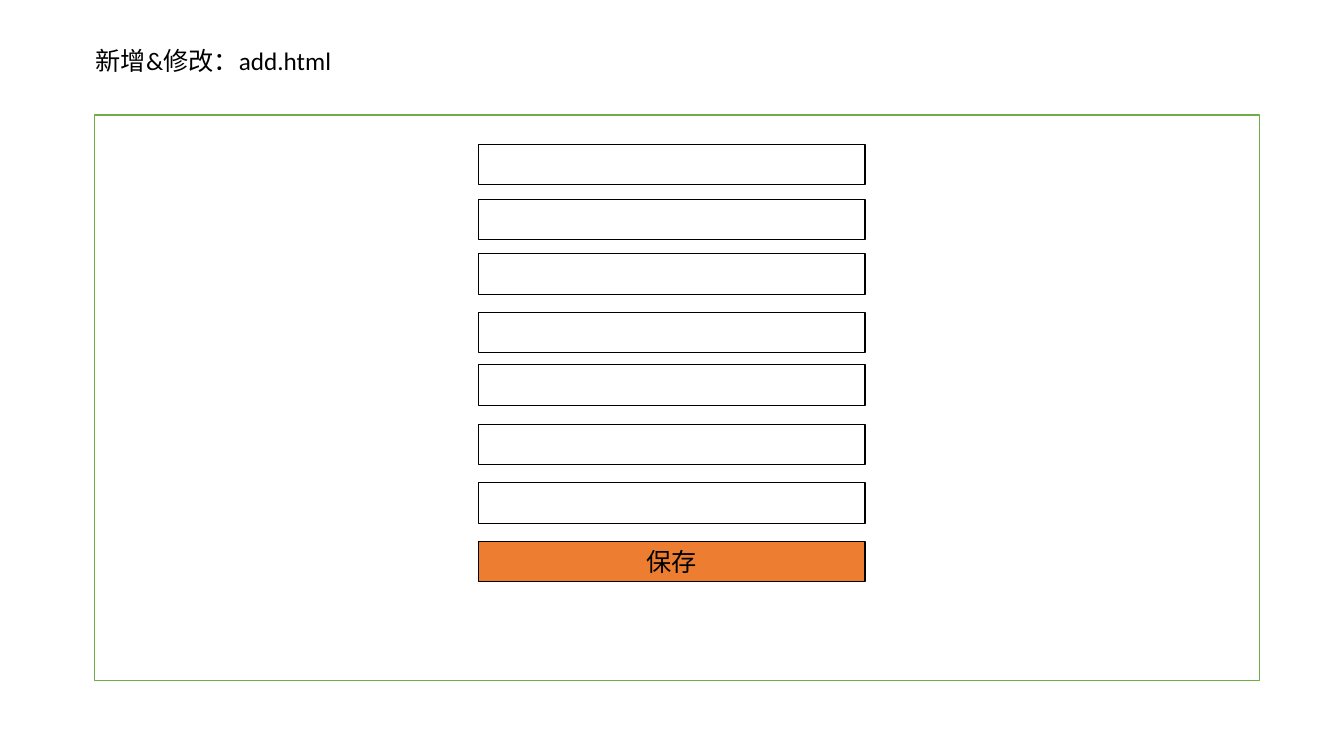
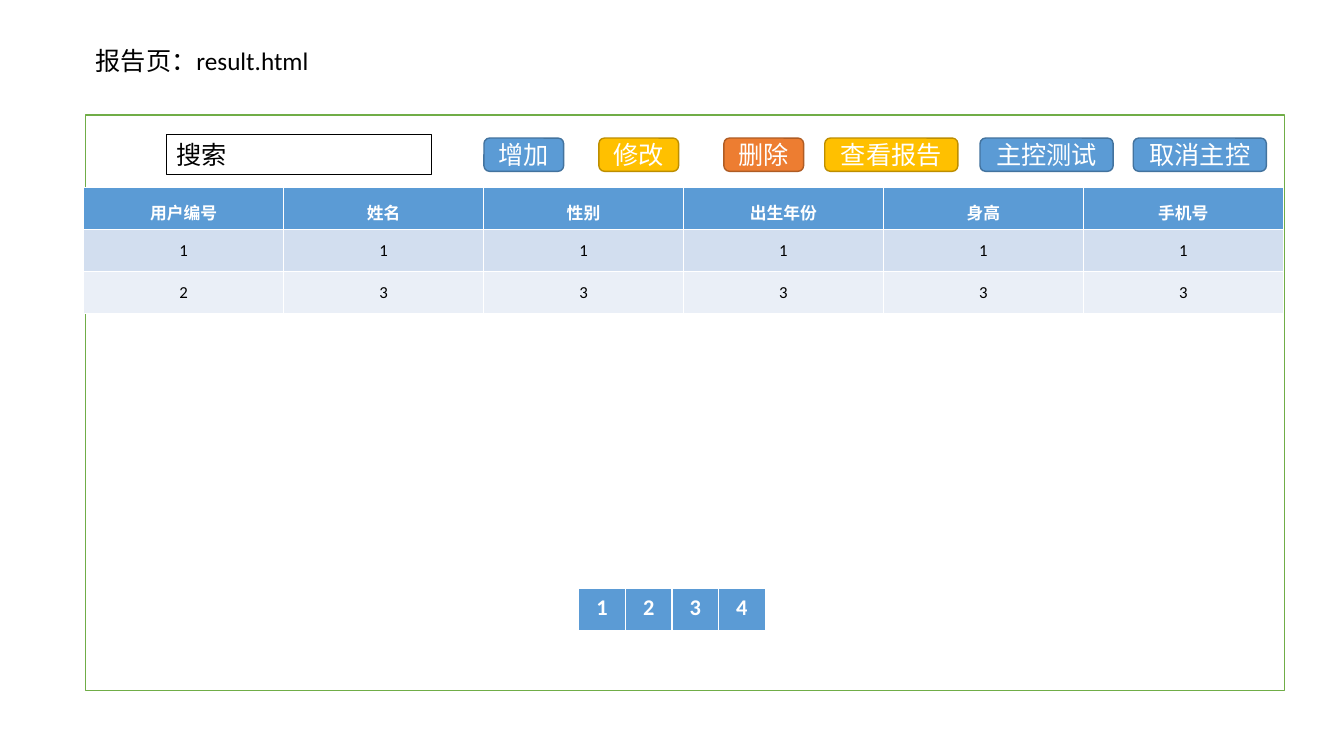
"""Build two wireframe slides: an edit form and a report list."""
from pptx import Presentation
from pptx.dml.color import RGBColor
from pptx.enum.shapes import MSO_SHAPE
from pptx.enum.text import PP_ALIGN
from pptx.util import Inches, Pt

RECT, ROUNDED = MSO_SHAPE.RECTANGLE, MSO_SHAPE.ROUNDED_RECTANGLE
LEFT, CENTER = PP_ALIGN.LEFT, PP_ALIGN.CENTER
FONT = "Calibri"
BLACK = RGBColor(0x00, 0x00, 0x00)
WHITE = RGBColor(0xFF, 0xFF, 0xFF)
GREEN = RGBColor(0x70, 0xAD, 0x47)
BLUE = RGBColor(0x5B, 0x9B, 0xD5)
BLUE_EDGE = RGBColor(0x43, 0x73, 0x9E)
GOLD = RGBColor(0xFF, 0xC0, 0x00)
GOLD_EDGE = RGBColor(0xBD, 0x8E, 0x00)
ORANGE = RGBColor(0xED, 0x7D, 0x31)
ORANGE_EDGE = RGBColor(0xAF, 0x5C, 0x24)
BAND_DARK = RGBColor(0xD2, 0xDE, 0xEF)
BAND_LIGHT = RGBColor(0xEA, 0xEF, 0xF7)


def write(frame, text, size=18, color=BLACK, align=LEFT, bold=False):
    paragraph = frame.paragraphs[0]
    paragraph.text = text
    paragraph.alignment = align
    font = paragraph.font
    font.name, font.size, font.bold = FONT, Pt(size), bold
    font.color.rgb = color
    return paragraph


def add_box(page, kind, area, fill, edge, weight):
    box = page.shapes.add_shape(kind, *map(Inches, area))
    box.shadow.inherit = False
    if fill is None:
        box.fill.background()
    else:
        box.fill.solid()
        box.fill.fore_color.rgb = fill
    box.line.color.rgb = edge
    box.line.width = Pt(weight)
    return box


deck = Presentation()
deck.slide_width, deck.slide_height = Inches(13.33), Inches(7.5)

pages = []
for title, title_width, panel in (
    ("新增&修改：add.html", 2.68, (0.94, 1.14, 11.55, 5.61)),
    ("报告页：result.html", 2.48, (0.85, 1.14, 11.89, 5.71)),
):
    page = deck.slides.add_slide(deck.slide_layouts[6])
    title_box = page.shapes.add_textbox(Inches(0.85), Inches(0.4), Inches(title_width), Inches(0.4))
    title_box.text_frame.word_wrap = True
    write(title_box.text_frame, title)
    add_box(page, RECT, panel, WHITE, GREEN, 1)
    pages.append(page)
form_page, report_page = pages

for top in (1.43, 1.98, 2.52, 3.1, 3.62, 4.21, 4.79):
    add_box(form_page, RECT, (4.75, top, 3.83, 0.4), None, BLACK, 0.75)
save_button = add_box(form_page, RECT, (4.75, 5.37, 3.83, 0.4), ORANGE, BLACK, 0.75)
write(save_button.text_frame, "保存", align=CENTER)

search_box = add_box(report_page, RECT, (1.65, 1.33, 2.63, 0.4), None, BLACK, 0.75)
write(search_box.text_frame, "搜索")

for label, left, width, fill, edge in (
    ("增加", 4.8, 0.79, BLUE, BLUE_EDGE),
    ("修改", 5.94, 0.79, GOLD, GOLD_EDGE),
    ("删除", 7.18, 0.79, ORANGE, ORANGE_EDGE),
    ("查看报告", 8.18, 1.32, GOLD, GOLD_EDGE),
    ("主控测试", 9.72, 1.32, BLUE, BLUE_EDGE),
    ("取消主控", 11.24, 1.32, BLUE, BLUE_EDGE),
):
    button = add_box(report_page, ROUNDED, (left, 1.37, width, 0.33), fill, edge, 1)
    write(button.text_frame, label, color=WHITE, align=CENTER)

users = [
    ["用户编号", "姓名", "性别", "出生年份", "身高", "手机号"],
    ["1"] * 6,
    ["2"] + ["3"] * 5,
]
pager = [["1", "2", "3", "4"]]
row_fills = (BLUE, BAND_DARK, BAND_LIGHT)

for rows, left, top, width, height, size, spacing in (
    (users, 0.83, 1.86, 11.9, 1.25, 12, 1.3),
    (pager, 5.74, 5.84, 1.85, 0.42, 16, 1.0),
):
    table = report_page.shapes.add_table(
        len(rows), len(rows[0]), Inches(left), Inches(top), Inches(width), Inches(height)
    ).table
    for row_index, values in enumerate(rows):
        header = row_index == 0
        for column_index, value in enumerate(values):
            cell = table.cell(row_index, column_index)
            cell.fill.solid()
            cell.fill.fore_color.rgb = row_fills[row_index]
            paragraph = write(cell.text_frame, value, size, WHITE if header else BLACK, CENTER, header)
            paragraph.line_spacing = spacing

deck.save("out.pptx")
